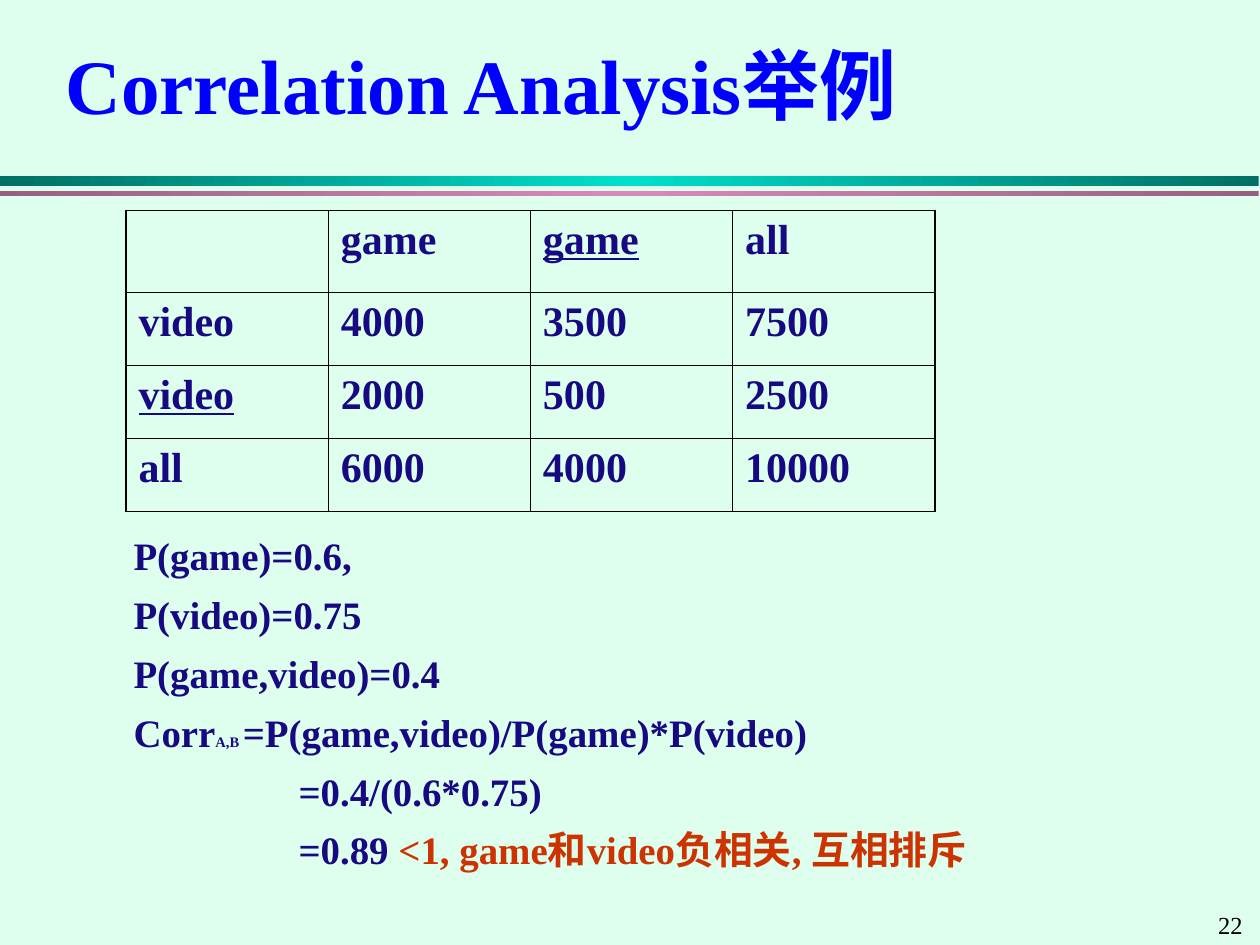
from copy import deepcopy

from lxml.etree import SubElement
from pptx import Presentation
from pptx.dml.color import RGBColor as Color
from pptx.enum.shapes import MSO_SHAPE as Shape
from pptx.enum.text import MSO_ANCHOR as Anchor, MSO_AUTO_SIZE as AutoSize, PP_ALIGN as Align
from pptx.oxml.ns import qn
from pptx.util import Inches, Pt

THEME = {
    "font": "Times New Roman",
    "background": "DEFEEE", "title": "0000FF", "text": "170981",
    "accent": "CC3300", "line": "000000",
    "teal": ("006F65", "00DFCA", "006F65"),
    "mauve": ("976080", "D989B8", "976080"),
    "title_size": 44, "table_size": 24, "body_size": 22.2,
    "subscript_size": 8.3, "number_size": 14,
    "outer_line": 1.08, "inner_line": 0.45,
}


def add_text(paragraph, text, size, color="text", bold=True, underline=None):
    run = paragraph.add_run()
    run.text = text
    formats = {"name": THEME["font"], "size": Pt(THEME[size]), "bold": bold, "underline": underline}
    for name, value in formats.items():
        setattr(run.font, name, value)
    run.font.color.rgb = Color.from_string(THEME[color])


def place(shape, left, top, width, height):
    box = {"left": left, "top": top, "width": width, "height": height}
    for name, value in box.items():
        setattr(shape, name, Inches(value))


presentation = Presentation()
presentation.slide_width, presentation.slide_height = Inches(10), Inches(7.5)
slide = presentation.slides.add_slide(presentation.slide_layouts[1])
slide.background.fill.solid()
slide.background.fill.fore_color.rgb = Color.from_string(THEME["background"])

# Gradient bands under the title
for top, height, colors in ((1.4, 0.08, "teal"), (1.52, 0.04, "mauve")):
    band = slide.shapes.add_shape(Shape.RECTANGLE, 0, 0, 0, 0)
    place(band, 0, top, 9.99, height)
    band.shadow.inherit = False
    band.line.fill.background()
    band.fill.gradient()
    band.fill.gradient_angle = 0
    stop_list = band._element.spPr.find(".//" + qn("a:gsLst"))
    stop_list.append(deepcopy(stop_list[-1]))
    for index, stop in enumerate(band.fill.gradient_stops):
        stop.position = index / 2
        stop.color.rgb = Color.from_string(THEME[colors][index])

# Title
title = slide.shapes.title
place(title, 0.42, 0.25, 9.17, 0.83)
title.text_frame.auto_size = AutoSize.NONE
title.text_frame.vertical_anchor = Anchor.MIDDLE
title.text_frame.paragraphs[0].alignment = Align.LEFT
add_text(title.text_frame.paragraphs[0], "Correlation Analysis举例", "title_size", "title")

# Contingency table; an underlined name means its complement
rows = (
    ("", "game", "game", "all"),
    ("video", "4000", "3500", "7500"),
    ("video", "2000", "500", "2500"),
    ("all", "6000", "4000", "10000"),
)
complements = {(0, 2), (2, 0)}
last = len(rows) - 1
frame = slide.shapes.add_table(len(rows), len(rows), Inches(1), Inches(1.67), Inches(6.42), Inches(2.39))
table = frame.table
table.first_row = table.horz_banding = False
for column in table.columns:
    column.width = Inches(6.42 / len(rows))
for row_index, values in enumerate(rows):
    table.rows[row_index].height = Inches(0.58 if row_index else 0.65)
    for column_index, value in enumerate(values):
        cell = table.cell(row_index, column_index)
        cell.fill.background()
        if value:
            add_text(cell.text_frame.paragraphs[0], value, "table_size",
                     underline=(row_index, column_index) in complements)
        # Heavy lines on the outside, thin lines inside
        outer_sides = {"L": column_index == 0, "R": column_index == last,
                       "T": row_index == 0, "B": row_index == last}
        properties = cell._tc.get_or_add_tcPr()
        for position, (side, outer) in enumerate(outer_sides.items()):
            width = Pt(THEME["outer_line" if outer else "inner_line"])
            border = SubElement(properties, qn("a:ln" + side), w=str(width))
            SubElement(SubElement(border, qn("a:solidFill")), qn("a:srgbClr"), val=THEME["line"])
            properties.insert(position, border)

# Calculation: left margin, then runs of text, size and colour
calculation = (
    (0.38, [("P(game)=0.6,", "body_size", "text")]),
    (0.38, [("P(video)=0.75", "body_size", "text")]),
    (0.38, [("P(game,video)=0.4", "body_size", "text")]),
    (0.38, [("Corr", "body_size", "text"), ("A,B ", "subscript_size", "text"),
            ("=P(game,video)/P(game)*P(video)", "body_size", "text")]),
    (1.69, [("=0.4/(0.6*0.75)", "body_size", "text")]),
    (1.69, [("=0.89 ", "body_size", "text"),
            ("<1, game和video负相关, 互相排斥", "body_size", "accent")]),
)
body = slide.placeholders[1]
place(body, 0.58, 4.17, 8.92, 2.83)
body.text_frame.auto_size = AutoSize.NONE
body.text_frame.vertical_anchor = Anchor.TOP
for index, (margin, runs) in enumerate(calculation):
    paragraph = body.text_frame.add_paragraph() if index else body.text_frame.paragraphs[0]
    paragraph.space_before = Pt(7)
    paragraph.line_spacing = 1.0
    properties = paragraph._p.get_or_add_pPr()
    properties.set("marL", str(Inches(margin)))
    properties.set("indent", "0")
    SubElement(properties, qn("a:buNone"))
    for text, size, color in runs:
        add_text(paragraph, text, size, color)

# Page number
number = slide.shapes.add_textbox(0, 0, 0, 0)
place(number, 9.57, 7.17, 0.43, 0.34)
add_text(number.text_frame.paragraphs[0], "22", "number_size", "line", bold=False)

presentation.save("out.pptx")
